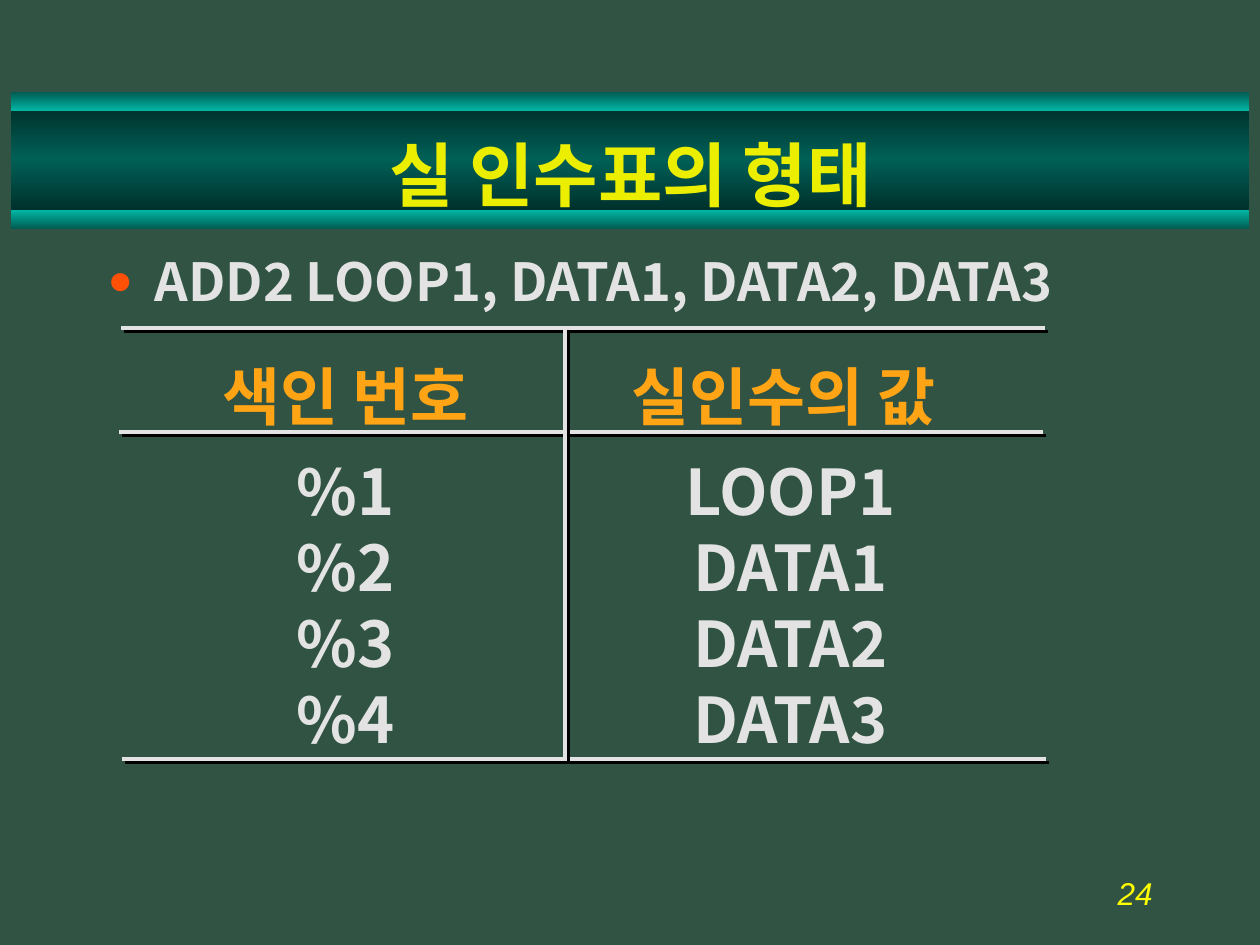
from dataclasses import dataclass

import pptx
import pptx.dml.color
import pptx.enum.shapes
import pptx.enum.text
import pptx.oxml
import pptx.oxml.ns
import pptx.util
from lxml import etree

PX = 914400 / 126
FONT = "Noto Sans CJK KR"
COLORS = {
    "background": "305343", "title": "ECEE00", "text": "E3E3E3",
    "heading": "FFA415", "bullet": "FF5008", "number": "FFFF00",
    "band_edge": "00302B", "band_middle": "006057",
    "bar_dark": "005B52", "bar_light": "00B7A5", "shadow": "000000",
}
ALIGN = pptx.enum.text.PP_ALIGN
ANCHOR = pptx.enum.text.MSO_ANCHOR


@dataclass(frozen=True)
class Box:
    left: int
    top: int
    width: int
    height: int

    def emu(self) -> list:
        return [px(v) for v in (self.left, self.top, self.width, self.height)]


@dataclass(frozen=True)
class Bar:
    box: Box
    stops: tuple


@dataclass(frozen=True)
class Rule:
    x1: int
    y1: int
    x2: int
    y2: int


@dataclass(frozen=True)
class Column:
    box: Box
    heading: str
    values: tuple


BARS = (
    Bar(Box(11, 107, 1238, 104), ("band_edge", "band_middle", "band_edge")),
    Bar(Box(11, 210, 1238, 19), ("bar_light", "bar_dark")),
    Bar(Box(11, 92, 1238, 19), ("bar_dark", "bar_light")),
)
RULES = (
    Rule(1043, 432, 119, 432),
    Rule(1045, 328, 121, 328),
    Rule(1046, 759, 122, 759),
    Rule(565, 328, 565, 758),
)
COLUMNS = (
    Column(Box(176, 325, 339, 428), "색인 번호", ("%1", "%2", "%3", "%4")),
    Column(Box(599, 325, 383, 428), "실인수의 값 ",
           ("LOOP1", "DATA1", "DATA2", "DATA3")),
)


def px(value: int) -> int:
    return round(value * PX)


def rgb(name: str):
    return pptx.dml.color.RGBColor.from_string(COLORS[name])


def add_xml(parent, tag: str, **attributes):
    return etree.SubElement(parent, pptx.oxml.ns.qn(tag), attributes)


def add_shadow(properties) -> None:
    """Append a hard shadow falling to the lower right."""
    effects = add_xml(properties, "a:effectLst")
    shadow = add_xml(effects, "a:outerShdw", dist=str(pptx.util.Pt(2.8)),
                     dir="2700000", algn="ctr", rotWithShape="0")
    add_xml(shadow, "a:srgbClr", val=COLORS["shadow"])


def add_bar(slide, bar: Bar) -> None:
    shape = slide.shapes.add_shape(
        pptx.enum.shapes.MSO_SHAPE.RECTANGLE, *bar.box.emu())
    shape.shadow.inherit = False
    shape.line.fill.background()
    shape.fill.gradient()
    shape.fill.gradient_angle = 270
    stop_list = shape._element.spPr.find(".//" + pptx.oxml.ns.qn("a:gsLst"))
    for stop in list(stop_list):
        stop_list.remove(stop)
    for i, name in enumerate(bar.stops):
        position = 100000 * i // (len(bar.stops) - 1)
        stop = add_xml(stop_list, "a:gs", pos=str(position))
        add_xml(stop, "a:srgbClr", val=COLORS[name])


def add_rule(slide, rule: Rule) -> None:
    line = slide.shapes.add_connector(
        pptx.enum.shapes.MSO_CONNECTOR.STRAIGHT,
        px(rule.x1), px(rule.y1), px(rule.x2), px(rule.y2))
    line.line.color.rgb = rgb("text")
    line.line.width = pptx.util.Pt(2)
    add_shadow(line._element.spPr)


def add_run(paragraph, text: str, size: int, color: str) -> None:
    run = paragraph.add_run()
    run.text = text
    run.font.size = pptx.util.Pt(size)
    run.font.bold = True
    run.font.color.rgb = rgb(color)
    add_shadow(run._r.get_or_add_rPr())
    run.font.name = FONT
    run._r.rPr.find(pptx.oxml.ns.qn("a:latin")).addnext(
        pptx.oxml.parse_xml(
            f'<a:ea {pptx.oxml.ns.nsdecls("a")} typeface="{FONT}"/>'))


def place(placeholder, box: Box, anchor):
    """Move a placeholder in front of the bars and return its text frame."""
    placeholder.left, placeholder.top, placeholder.width, placeholder.height = box.emu()
    tree = placeholder._element.getparent()
    tree.append(placeholder._element)
    frame = placeholder.text_frame
    frame.auto_size = pptx.enum.text.MSO_AUTO_SIZE.NONE
    frame.vertical_anchor = anchor
    return frame


def add_title(slide, text: str) -> None:
    frame = place(slide.shapes.title, Box(95, 123, 1071, 102), ANCHOR.MIDDLE)
    paragraph = frame.paragraphs[0]
    paragraph.alignment = ALIGN.CENTER
    add_run(paragraph, text, 40, "title")


def add_bullet(slide, text: str) -> None:
    frame = place(slide.placeholders[1], Box(95, 237, 1071, 93), ANCHOR.TOP)
    paragraph = frame.paragraphs[0]
    paragraph.line_spacing = pptx.util.Pt(39)
    paragraph.space_before = pptx.util.Pt(0)
    properties = paragraph._p.get_or_add_pPr()
    properties.set("marL", str(px(47)))
    properties.set("indent", str(-px(47)))
    color = add_xml(properties, "a:buClr")
    add_xml(color, "a:srgbClr", val=COLORS["bullet"])
    add_xml(properties, "a:buSzPct", val="80000")
    add_xml(properties, "a:buChar", char="●")
    add_run(paragraph, text, 30, "text")


def add_column(slide, column: Column) -> None:
    frame = slide.shapes.add_textbox(*column.box.emu()).text_frame
    frame.word_wrap = True
    heading = frame.paragraphs[0]
    heading.alignment = ALIGN.CENTER
    heading.line_spacing = pptx.util.Pt(58)
    heading.space_after = pptx.util.Pt(11)
    add_run(heading, column.heading, 36, "heading")
    for value in column.values:
        row = frame.add_paragraph()
        row.alignment = ALIGN.CENTER
        row.line_spacing = pptx.util.Pt(43.4)
        add_run(row, value, 36, "text")


def add_page_number(slide, number: str) -> None:
    frame = slide.shapes.add_textbox(*Box(903, 861, 262, 63).emu()).text_frame
    frame.word_wrap = False
    frame.vertical_anchor = ANCHOR.MIDDLE
    frame.paragraphs[0].alignment = ALIGN.RIGHT
    run = frame.paragraphs[0].add_run()
    run.text = number
    run.font.name = "Arial"
    run.font.size = pptx.util.Pt(18)
    run.font.italic = True
    run.font.color.rgb = rgb("number")


def main() -> None:
    deck = pptx.Presentation()
    deck.slide_width, deck.slide_height = px(1260), px(945)
    slide = deck.slides.add_slide(deck.slide_layouts[1])
    slide.background.fill.solid()
    slide.background.fill.fore_color.rgb = rgb("background")
    for bar in BARS:
        add_bar(slide, bar)
    add_title(slide, "실 인수표의 형태")
    add_bullet(slide, "ADD2 LOOP1, DATA1, DATA2, DATA3")
    for column in COLUMNS:
        add_column(slide, column)
    for rule in RULES:
        add_rule(slide, rule)
    add_page_number(slide, "24")
    deck.save("out.pptx")


if __name__ == "__main__":
    main()
